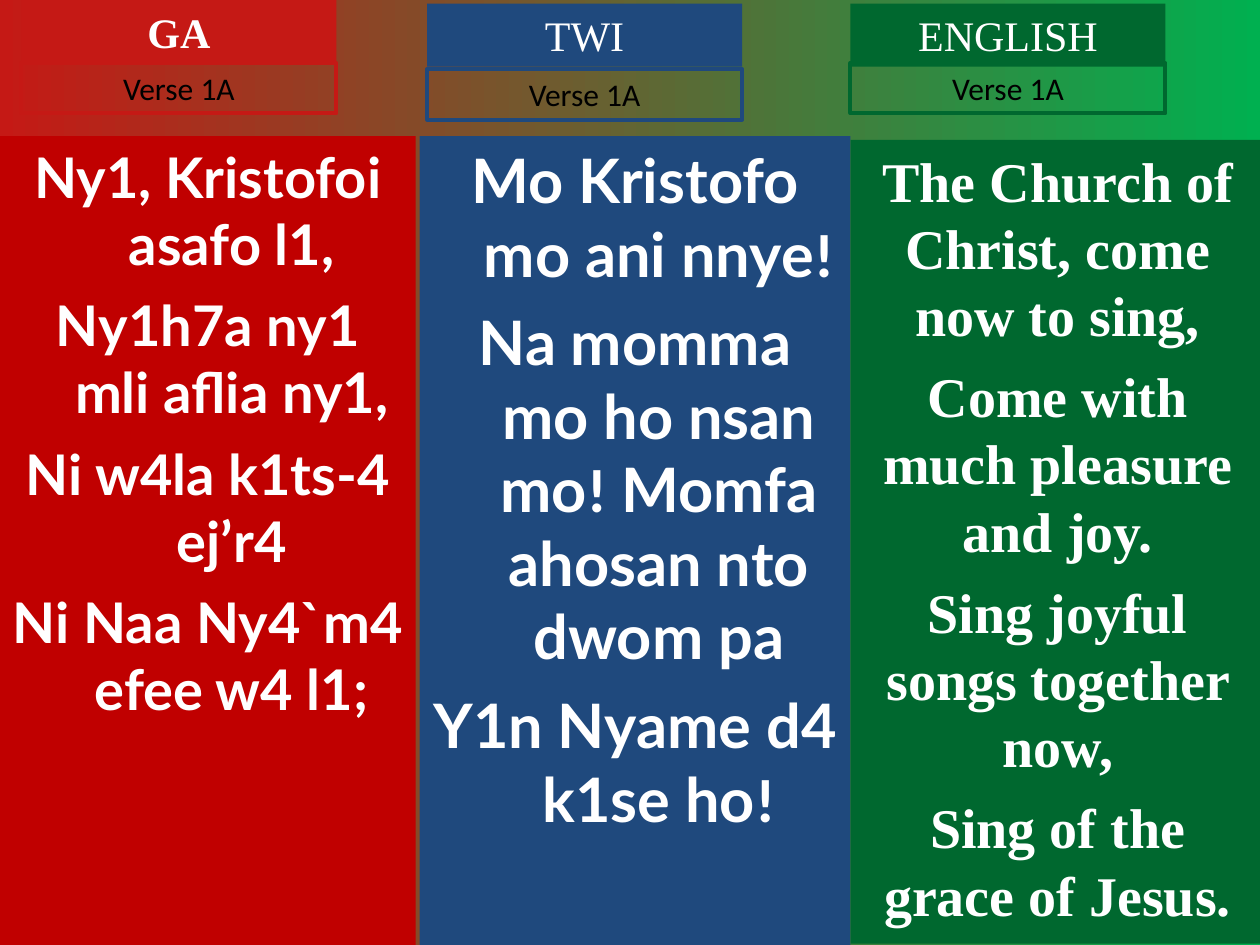
from dataclasses import dataclass

from pptx import Presentation
from pptx import util as u
from pptx.dml.color import RGBColor
from pptx.enum import shapes, text

PX = 9144  # EMU per px, 100 px to the inch


@dataclass(frozen=True)
class Theme:
    red: str = "C51915"
    deep_red: str = "C00000"
    blue: str = "1F497D"
    green: str = "00682F"
    bright_green: str = "00B050"
    white: str = "FFFFFF"
    black: str = "000000"
    serif: str = "Times New Roman"
    sans: str = "Lato"
    plain: str = "Calibri"
    heading: int = 24
    label: int = 18
    lyric: int = 32
    large_lyric: int = 35
    border: float = 2.25


THEME = Theme()

# Each column: heading, verse label and lyrics, with boxes as left, top, width, height
COLUMNS = [
    dict(
        title="GA", bold=True, color=THEME.red, panel=THEME.deep_red,
        heading_box=(17, 0, 250, 50), label_box=(17, 50, 250, 40),
        lyric_box=(0, 108, 330, 642),
        font=THEME.sans, size=THEME.lyric, hanging=38,
        lines=["Ny1, Kristofoi asafo l1,", "Ny1h7a ny1 mli aflia ny1,",
               "Ni w4la k1ts-4 ej’r4", "Ni Naa Ny4`m4 efee w4 l1;"],
    ),
    dict(
        title="TWI", bold=False, color=THEME.blue, panel=THEME.blue,
        heading_box=(339, 3, 250, 50), label_box=(339, 55, 250, 40),
        lyric_box=(333, 108, 342, 642),
        font=THEME.sans, size=THEME.large_lyric, hanging=38,
        lines=["Mo Kristofo mo ani nnye!",
               "Na momma mo ho nsan mo! Momfa ahosan nto dwom pa",
               "Y1n Nyame d4 k1se ho!"],
    ),
    dict(
        title="ENGLISH", bold=False, color=THEME.green, panel=THEME.green,
        heading_box=(675, 3, 250, 50), label_box=(675, 50, 250, 40),
        lyric_box=(675, 111, 329, 638),
        font=THEME.serif, size=THEME.lyric, hanging=0,
        lines=["The Church of Christ, come now to sing,",
               "Come with much pleasure and joy.",
               "Sing joyful songs together now,", "Sing of the grace of Jesus."],
    ),
]


def apply(target, values):
    for name, value in values.items():
        setattr(target, name, value)


def add_box(page, box, fill=None, line=None):
    """Add a plain rectangle with top-anchored, wrapping text."""
    shape = page.shapes.add_shape(
        shapes.MSO_SHAPE.RECTANGLE, *(value * PX for value in box))
    shape.shadow.inherit = False
    if fill:
        shape.fill.solid()
        shape.fill.fore_color.rgb = RGBColor.from_string(fill)
    else:
        shape.fill.background()
    if line:
        shape.line.color.rgb = RGBColor.from_string(line)
        shape.line.width = u.Pt(THEME.border)
    else:
        shape.line.fill.background()
    apply(shape.text_frame, dict(
        word_wrap=True, vertical_anchor=text.MSO_ANCHOR.TOP,
        margin_left=10 * PX, margin_right=10 * PX,
        margin_top=5 * PX, margin_bottom=5 * PX))
    return shape.text_frame


def add_span(para, words, font, size, color, bold=False):
    span = para.add_run()
    span.text = words
    apply(span.font, dict(name=font, size=u.Pt(size), bold=bold))
    span.font.color.rgb = RGBColor.from_string(color)


def add_caption(page, box, words, font, size, color, bold=False, **look):
    """Add a one-line box that fits its text."""
    frame = add_box(page, box, **look)
    frame.auto_size = text.MSO_AUTO_SIZE.SHAPE_TO_FIT_TEXT
    para = frame.paragraphs[0]
    para.alignment = text.PP_ALIGN.CENTER
    add_span(para, words, font, size, color, bold)


def add_lyrics(page, box, column):
    """Fill a panel with lyric lines, setting exclamation marks in the plain font."""
    frame = add_box(page, box, fill=column["panel"])
    for index, line in enumerate(column["lines"]):
        para = frame.add_paragraph() if index else frame.paragraphs[0]
        apply(para, dict(
            alignment=text.PP_ALIGN.CENTER,
            space_before=u.Pt(column["size"] / 4 if index else 0)))
        if column["hanging"]:
            properties = para._p.get_or_add_pPr()
            properties.set("marL", str(column["hanging"] * PX))
            properties.set("indent", str(-column["hanging"] * PX))
        before, mark, after = line.partition("!")
        for words, font in ((before, column["font"]), (mark, THEME.plain),
                            (after, column["font"])):
            if words:
                add_span(para, words, font, column["size"], THEME.white, bold=True)


def add_column(page, column):
    add_lyrics(page, column["lyric_box"], column)
    add_caption(page, column["heading_box"], column["title"], THEME.serif,
                THEME.heading, THEME.white, column["bold"], fill=column["color"])
    add_caption(page, column["label_box"], "Verse 1A", THEME.plain,
                THEME.label, THEME.black, line=column["color"])


def paint_background(page):
    fill = page.background.fill
    fill.gradient()
    fill.gradient_angle = 0
    for stop, color in zip(fill.gradient_stops, (THEME.red, THEME.bright_green)):
        stop.color.rgb = RGBColor.from_string(color)


def main():
    deck = Presentation()
    apply(deck, dict(slide_width=1000 * PX, slide_height=750 * PX))
    page = deck.slides.add_slide(deck.slide_layouts[6])
    paint_background(page)
    for column in COLUMNS:
        add_column(page, column)
    deck.save("out.pptx")


if __name__ == "__main__":
    main()
